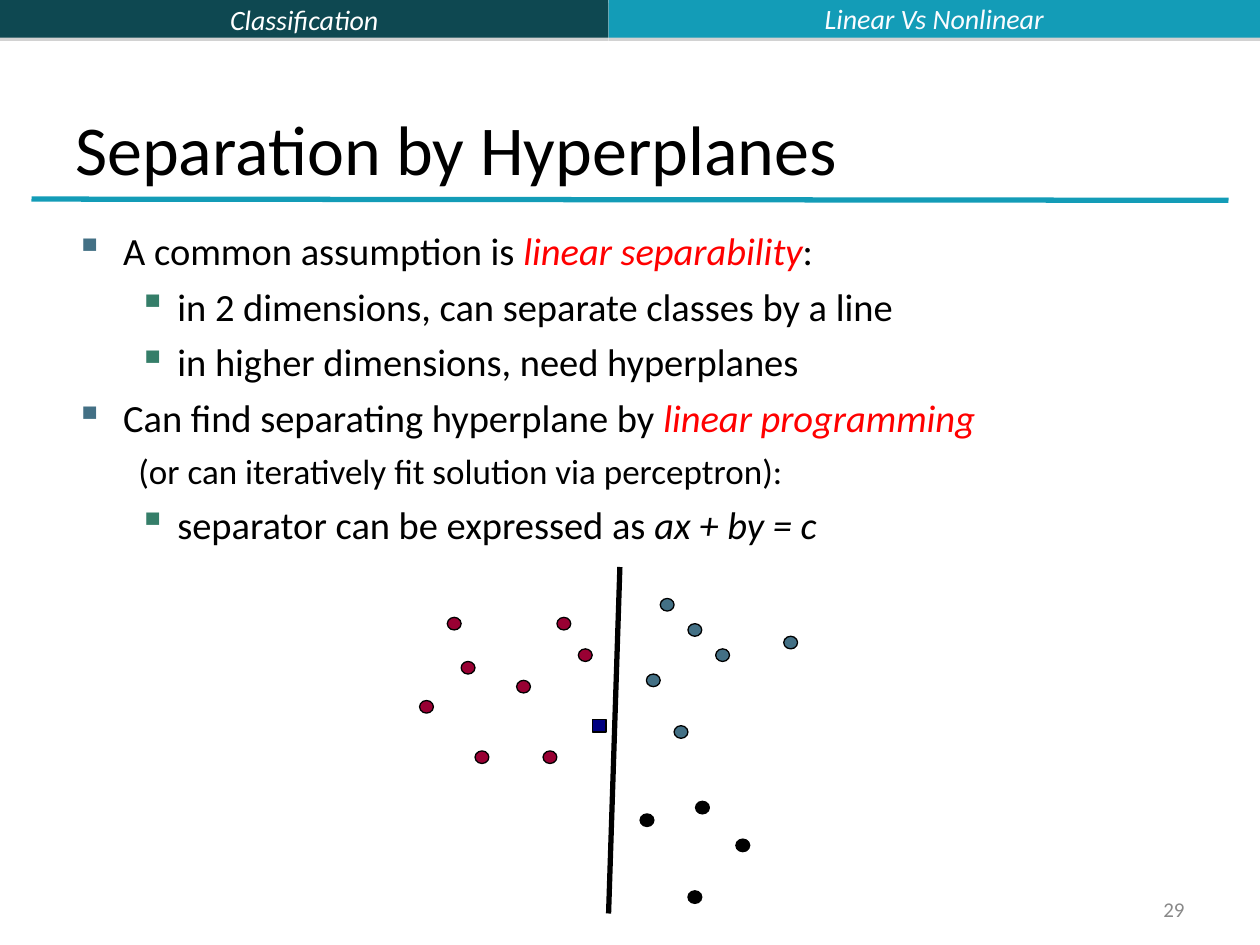
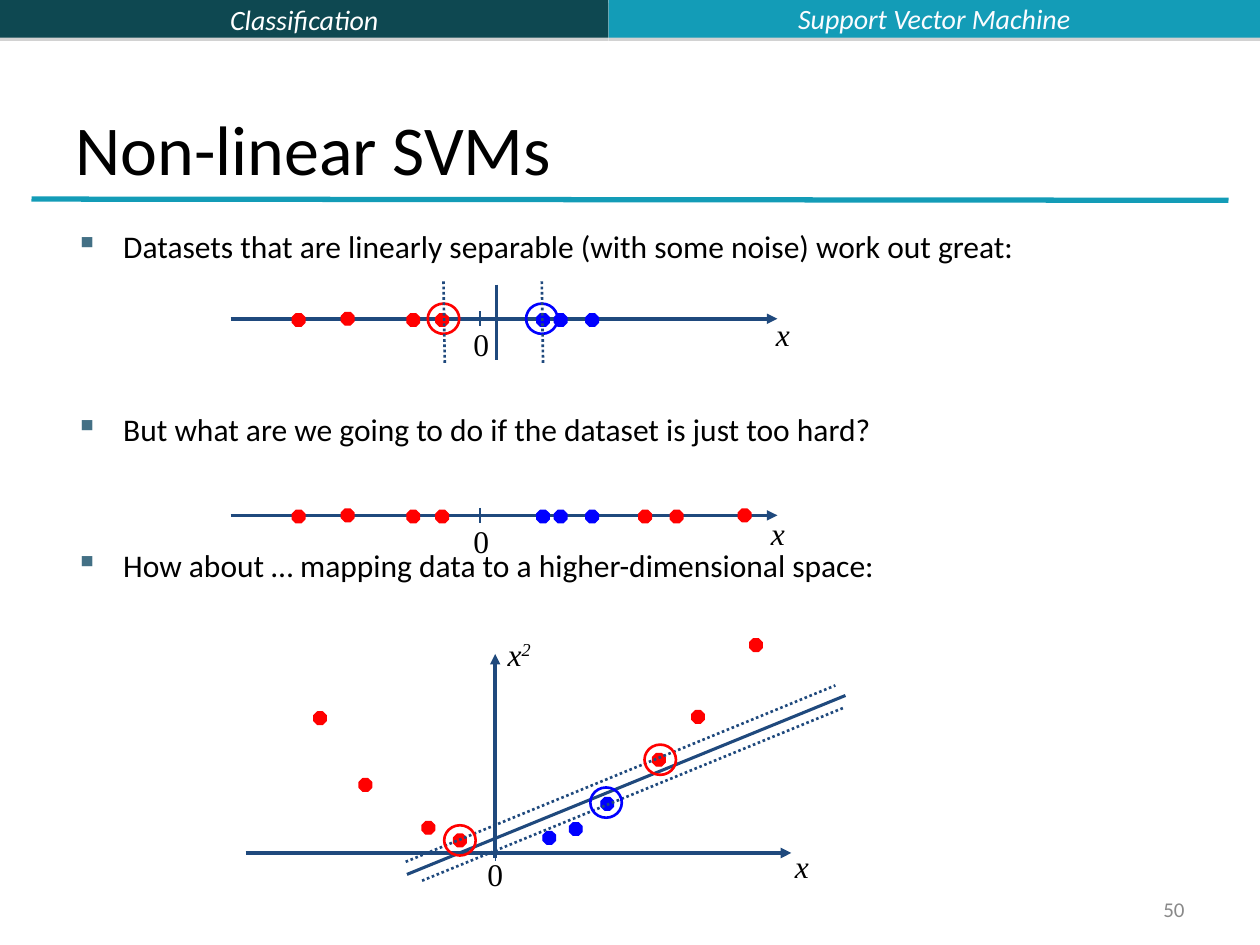
from dataclasses import dataclass
from lxml.etree import SubElement
from pptx import Presentation
from pptx.dml.color import RGBColor
from pptx.enum.dml import MSO_LINE
from pptx.enum.shapes import MSO_CONNECTOR, MSO_SHAPE as Preset
from pptx.enum.text import MSO_ANCHOR as Anchor, PP_ALIGN as Align
from pptx.oxml.ns import qn
from pptx.util import Inches, Pt


@dataclass(frozen=True)
class Theme:
    section: str = "0E4851"
    topic: str = "139CB7"
    topic_text: str = "FBFCFF"
    white: str = "FFFFFF"
    ink: str = "000000"
    footer: str = "898989"
    shadow: str = "808080"
    bullet: str = "437085"
    sub_bullet: str = "357E69"
    accent: str = "FF0000"
    positive: str = "0000FF"
    crimson: str = "990033"
    navy: str = "000080"
    axis: str = "1F497D"
    sans: str = "Calibri"
    serif: str = "Times New Roman"
    title_size: float = 40
    band_size: float = 16
    number_size: float = 12
    text_size: float = 22
    aside_size: float = 20
    small_size: float = 18


@dataclass(frozen=True)
class Box:
    x: float
    y: float
    w: float
    h: float

    def inside(self, x, y, w, h):
        return Box(self.x + x, self.y + y, w, h)

    def around(self, x, y, w, h):
        return self.inside(x - w / 2, y - h / 2, w, h)

    def lengths(self):
        return [Inches(v) for v in (self.x, self.y, self.w, self.h)]


THEME = Theme()
PAGE = Box(0, 0, 10, 7.5)
BODY = Box(0.5, 1.75, 9, 5.42)


def apply(target, values):
    for key, value in values.items():
        setattr(target, key, value)


def add_run(paragraph, text, size, color=THEME.ink, face=THEME.sans, italic=False):
    run = paragraph.add_run()
    run.text = text
    apply(run.font, {"size": Pt(size), "name": face, "italic": italic})
    run.font.color.rgb = RGBColor.from_string(color)
    return run


def set_frame(frame, anchor=Anchor.TOP):
    apply(frame, {
        "word_wrap": True, "vertical_anchor": anchor,
        "margin_left": Inches(0.1), "margin_right": Inches(0.1),
        "margin_top": Inches(0.05), "margin_bottom": Inches(0.05),
    })
    return frame


def add_text(slide, box, text, size, anchor=Anchor.TOP, align=Align.LEFT, **style):
    frame = set_frame(slide.shapes.add_textbox(*box.lengths()).text_frame, anchor)
    paragraph = frame.paragraphs[0]
    paragraph.alignment = align
    add_run(paragraph, text, size, **style)
    return paragraph


def add_preset(slide, preset, box, fill=None, outline=None, weight=0.75):
    mark = slide.shapes.add_shape(preset, *box.lengths())
    mark.shadow.inherit = False
    if fill:
        mark.fill.solid()
        mark.fill.fore_color.rgb = RGBColor.from_string(fill)
    else:
        mark.fill.background()
    if outline:
        mark.line.color.rgb = RGBColor.from_string(outline)
        mark.line.width = Pt(weight)
    else:
        mark.line.fill.background()
    return mark


def add_line(slide, box, start, end, color, weight, arrow=False, dotted=False):
    points = [Inches(v) for v in (box.x + start[0], box.y + start[1],
                                  box.x + end[0], box.y + end[1])]
    line = slide.shapes.add_connector(MSO_CONNECTOR.STRAIGHT, *points)
    line.line.color.rgb = RGBColor.from_string(color)
    line.line.width = Pt(weight)
    if dotted:
        line.line.dash_style = MSO_LINE.ROUND_DOT
    properties = line._element.spPr
    if arrow:
        SubElement(properties.find(qn("a:ln")), qn("a:tailEnd"), type="triangle")
    SubElement(properties, qn("a:effectLst"))


def add_band(slide, box, fill):
    band = add_preset(slide, Preset.RECTANGLE, box, fill)
    effects = band._element.spPr.find(qn("a:effectLst"))
    shadow = SubElement(effects, qn("a:outerShdw"), blurRad="0", dist=str(Pt(1.8)),
                        dir="5400000", algn="ctr", rotWithShape="0")
    tint = SubElement(shadow, qn("a:srgbClr"), val=THEME.shadow)
    SubElement(tint, qn("a:alpha"), val="35000")
    return band


def add_frame(slide, topic, title, number):
    section = add_band(slide, PAGE.inside(0, 0, 4.83, 0.3), THEME.section)
    paragraph = set_frame(section.text_frame, Anchor.MIDDLE).paragraphs[0]
    paragraph.alignment = Align.CENTER
    add_run(paragraph, "Classification", THEME.band_size, THEME.white, italic=True)
    add_band(slide, PAGE.inside(4.83, 0, 5.17, 0.3), THEME.topic)
    add_text(slide, PAGE.inside(4.83, -0.04, 5.17, 0.37), topic, THEME.band_size,
             Anchor.MIDDLE, Align.CENTER, color=THEME.topic_text, italic=True)
    add_line(slide, PAGE, (0.25, 1.58), (9.75, 1.59), THEME.topic, 3)
    add_text(slide, PAGE.inside(0.5, 0.3, 9, 1.25), title, THEME.title_size, Anchor.BOTTOM)
    add_text(slide, PAGE.inside(7.17, 7.08, 2.33, 0.27), str(number), THEME.number_size,
             Anchor.MIDDLE, Align.RIGHT, color=THEME.footer)


def add_body(slide, box, items):
    levels = [(0.38, -0.38, THEME.bullet), (0.81, -0.31, THEME.sub_bullet)]
    frame = set_frame(slide.shapes.add_textbox(*box.lengths()).text_frame)
    for index, (level, bulleted, size, gap, runs) in enumerate(items):
        paragraph = frame.add_paragraph() if index else frame.paragraphs[0]
        margin, indent, color = levels[level]
        properties = paragraph._p.get_or_add_pPr()
        properties.set("marL", str(Inches(margin)))
        properties.set("indent", str(Inches(indent)))
        if bulleted:
            tint = SubElement(properties, qn("a:buClr"))
            SubElement(tint, qn("a:srgbClr"), val=color)
            SubElement(properties, qn("a:buChar"), char="▪")
        else:
            SubElement(properties, qn("a:buNone"))
        paragraph.space_before = Pt(gap if index else 0)
        for text, style in runs:
            add_run(paragraph, text, size, **style)


def add_scatter(slide, box):
    classes = {
        THEME.crimson: [(0.22, 0.4), (0.33, 0.75), (0.44, 1.46), (1.09, 0.4), (0, 1.06),
                        (0.77, 0.9), (1.26, 0.65), (0.98, 1.46)],
        THEME.bullet: [(1.8, 0.85), (1.91, 0.25), (2.02, 1.26), (2.13, 0.45),
                       (2.89, 0.55), (2.35, 0.65)],
        THEME.ink: [(2.19, 1.86), (1.75, 1.96), (2.13, 2.57), (2.51, 2.16)],
    }
    for color, points in classes.items():
        for x, y in points:
            add_preset(slide, Preset.OVAL, box.inside(x, y, 0.11, 0.1), color, THEME.ink)
    add_preset(slide, Preset.RECTANGLE, box.inside(1.37, 1.21, 0.11, 0.1),
               THEME.navy, THEME.ink)
    add_line(slide, box, (1.59, 0), (1.5, box.h), THEME.ink, 3)


def add_dots(slide, box, points, color):
    for x, y in points:
        add_preset(slide, Preset.OCTAGON, box.around(x, y, 0.1, 0.1), color, color)


def add_support(slide, box, x, y, color):
    add_preset(slide, Preset.OVAL, box.around(x, y, 0.25, 0.24), outline=color, weight=1.5)


def add_symbol(slide, box, x, y, text, width=0.5, italic=True):
    return add_text(slide, box.inside(x, y, width, 0.4), text, THEME.small_size,
                    face=THEME.serif, italic=italic)


def add_number_line(slide, box, label, outer=()):
    add_line(slide, box, (0, 0), (box.w, 0), THEME.axis, 2, arrow=True)
    add_line(slide, box, (1.98, -0.06), (1.98, 0.06), THEME.axis, 1.5)
    add_symbol(slide, box, 1.83, 0, "0", 0.37, False)
    add_symbol(slide, box, *label, "x")
    inner = [(0.54, 0.01), (0.93, 0), (1.45, 0.01), (1.68, 0.01)]
    add_dots(slide, box, [*inner, *outer], THEME.accent)
    add_dots(slide, box, [(x, 0.01) for x in (2.48, 2.62, 2.87)], THEME.positive)


def add_margins(slide, box):
    add_line(slide, box, (2.11, -0.27), (2.11, 0.33), THEME.axis, 1.5)
    for x, color in ((1.69, THEME.accent), (2.47, THEME.positive)):
        add_support(slide, box, x, 0, color)
        add_line(slide, box, (x + 0.01, 0.35), (x, -0.3), THEME.axis, 1.5, dotted=True)


def add_plane(slide, box):
    add_line(slide, box, (0, 1.78), (4.33, 1.78), THEME.axis, 2, arrow=True)
    add_line(slide, box, (1.98, 1.72), (1.98, 1.84), THEME.axis, 0.75)
    add_line(slide, box, (1.98, 1.82), (1.98, 0.2), THEME.axis, 2, arrow=True)
    add_symbol(slide, box, 1.82, 1.75, "0", 0.37, False)
    add_symbol(slide, box, 4.26, 1.68, "x")
    square = add_symbol(slide, box, 1.98, 0, "x")
    power = add_run(square, "2", THEME.small_size, face=THEME.serif, italic=True)
    power.font._element.set("baseline", "30000")
    add_dots(slide, box, [(0.59, 0.71), (0.95, 1.24), (1.45, 1.58), (1.7, 1.68),
                          (3.28, 1.04), (3.59, 0.7), (4.05, 0.13)], THEME.accent)
    add_dots(slide, box, [(2.62, 1.59), (2.87, 1.39), (2.41, 1.66)], THEME.positive)
    add_line(slide, box, (1.28, 1.95), (4.76, 0.53), THEME.axis, 1.75)
    for start, end in (((1.27, 1.85), (4.68, 0.45)), ((1.4, 2), (4.74, 0.63))):
        add_line(slide, box, start, end, THEME.axis, 1.5, dotted=True)
    for x, y, color in ((3.29, 1.04, THEME.accent), (2.86, 1.38, THEME.positive),
                        (1.7, 1.68, THEME.accent)):
        add_support(slide, box, x, y, color)


def build_hyperplanes(slide):
    add_frame(slide, "Linear Vs Nonlinear", "Separation by Hyperplanes", 29)
    size, plain, italic = THEME.text_size, {}, {"italic": True}
    key = {"italic": True, "color": THEME.accent}
    add_body(slide, BODY, [
        (0, True, size, 0, [("A common assumption is ", plain),
                            ("linear separability", key), (":", plain)]),
        (1, True, size, 5.5, [("in 2 dimensions, can separate classes by a line", plain)]),
        (1, True, size, 5.5, [("in higher dimensions, need hyperplanes", plain)]),
        (0, True, size, 5.5, [("Can find separating hyperplane by ", plain),
                              ("linear programming", key)]),
        (1, False, THEME.aside_size, 5,
         [("(or can iteratively fit solution via perceptron):", plain)]),
        (1, True, size, 5.5, [("separator can be expressed as ", plain),
                              ("ax + by = c", italic)]),
    ])
    add_scatter(slide, Box(3.33, 4.5, 3, 2.75))


def build_nonlinear(slide):
    add_frame(slide, "Support Vector Machine", "Non-linear SVMs", 50)
    questions = [
        (0, "Datasets that are linearly separable (with some noise) work out great:"),
        (83, "But what are we going to do if the dataset is just too hard?"),
        (56.5, "How about … mapping data to a higher-dimensional space:"),
    ]
    add_body(slide, BODY, [(0, True, THEME.small_size, gap, [(text, {})])
                           for gap, text in questions])
    separable = Box(1.83, 2.53, 4.34, 0.4)
    add_number_line(slide, separable, (4.23, -0.08))
    add_margins(slide, separable)
    add_number_line(slide, Box(1.83, 4.09, 4.34, 0.4), (4.19, -0.06),
                    [(3.29, 0.01), (3.54, 0.01), (4.08, 0)])
    add_plane(slide, Box(1.95, 4.99, 4.76, 2.15))


def main():
    deck = Presentation()
    apply(deck, {"slide_width": Inches(PAGE.w), "slide_height": Inches(PAGE.h)})
    for build in (build_hyperplanes, build_nonlinear):
        build(deck.slides.add_slide(deck.slide_layouts[6]))
    deck.save("out.pptx")


if __name__ == "__main__":
    main()
